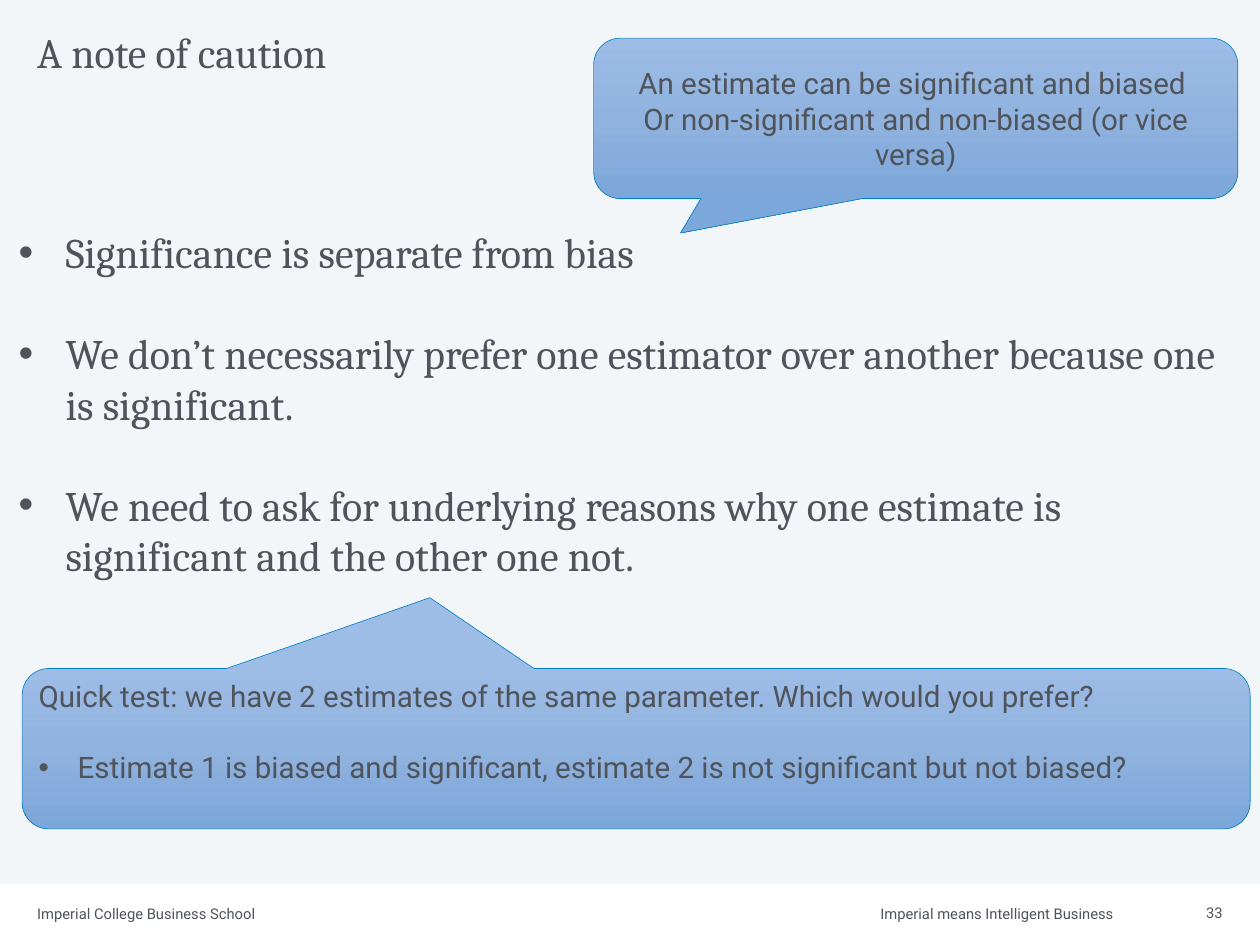
from copy import deepcopy
from dataclasses import dataclass

from pptx import Presentation
from pptx.dml.color import RGBColor as Rgb
from pptx.enum.shapes import MSO_SHAPE as Kind
from pptx.enum.text import MSO_ANCHOR as Anchor, PP_ALIGN as Align
from pptx.oxml.ns import qn
from pptx.oxml.xmlchemy import OxmlElement as Node
from pptx.util import Inches, Pt


@dataclass(frozen=True)
class Theme:
    """Colours, fonts and type sizes of the slide."""
    ink: str = "4F535A"
    panel: str = "F3F6F8"
    edge: str = "0080C6"
    fade: tuple = ("9DBDE7", "90B2DE", "7CA7DA")
    serif: str = "Cambria"
    sans: str = "Roboto"
    title: float = 34
    body: float = 34.1
    note: float = 24
    foot: float = 12


LOOK = Theme()
CELL = Inches(0.1)
COLS, ROWS = 142.2, 106.6


def grid(*cells):
    """Turn columns and rows into lengths."""
    return [round(CELL * cell) for cell in cells]


def bullet(par, depth):
    """Give a paragraph a bullet with a hanging indent."""
    props = par._p.get_or_add_pPr()
    gap = round(CELL * depth)
    props.set("marL", str(gap))
    props.set("indent", str(-gap))
    font, mark = Node("a:buFont"), Node("a:buChar")
    font.set("typeface", "Arial")
    mark.set("char", "•")
    props.extend([font, mark])


def write(frame, lines, face, size, align=Align.LEFT, gap=0, depth=0, first=0):
    """Fill a frame with lines, bulleted from the given line if depth is set."""
    frame.word_wrap = True
    for i, line in enumerate(lines):
        par = frame.add_paragraph() if i else frame.paragraphs[0]
        if depth and i >= first:
            bullet(par, depth)
        par.text = line
        par.alignment = align
        if i and gap:
            par.space_before = Pt(gap)
        font = par.font
        font.name, font.size = face, Pt(size)
        font.color.rgb = Rgb.from_string(LOOK.ink)


def label(slide, box, lines, face, size, anchor=Anchor.TOP, **style):
    """Add a text box without margins."""
    frame = slide.shapes.add_textbox(*grid(*box)).text_frame
    frame.margin_left = frame.margin_right = 0
    frame.margin_top = frame.margin_bottom = 0
    frame.vertical_anchor = anchor
    write(frame, lines, face, size, **style)
    return frame


def blend(shape):
    """Fill a shape with the downward three-colour fade."""
    fill = shape.fill
    fill.gradient()
    fill.gradient_angle = 270
    start = shape._element.spPr.find(qn("a:gradFill")).gsLst[0]
    mid = deepcopy(start)
    mid.set("pos", "50000")
    start.addnext(mid)
    for stop, tone in zip(fill.gradient_stops, LOOK.fade):
        stop.color.rgb = Rgb.from_string(tone)


def callout(slide, box, tip, lines, anchor=Anchor.MIDDLE, **style):
    """Add a rounded callout whose tip is given as shares of its size."""
    shape = slide.shapes.add_shape(Kind.ROUNDED_RECTANGULAR_CALLOUT, *grid(*box))
    shape.shadow.inherit = False
    shape.adjustments[0], shape.adjustments[1] = tip
    blend(shape)
    shape.line.color.rgb = Rgb.from_string(LOOK.edge)
    shape.line.width = Pt(0.5)
    frame = shape.text_frame
    frame.vertical_anchor = anchor
    write(frame, lines, LOOK.sans, LOOK.note, **style)
    return frame


def panel(slide, box):
    """Add the plain pale panel behind the content."""
    shape = slide.shapes.add_shape(Kind.RECTANGLE, *grid(*box))
    shape.shadow.inherit = False
    shape.fill.solid()
    shape.fill.fore_color.rgb = Rgb.from_string(LOOK.panel)
    shape.line.fill.background()


def footer(slide):
    """Add the school, the motto and the page number."""
    for left, top, wide, high, text, align in (
        (87.4, 102.1, 38.3, 2, "Imperial means Intelligent Business", Align.RIGHT),
        (4.2, 102.1, 38.3, 2, "Imperial College Business School", Align.LEFT),
        (129.3, 101.5, 8.7, 3, "33", Align.RIGHT),
    ):
        label(slide, (left, top, wide, high), [text], LOOK.sans, LOOK.foot,
              Anchor.MIDDLE, align=align)


def main():
    """Build the slide and save it."""
    deck = Presentation()
    deck.slide_width, deck.slide_height = grid(COLS, ROWS)
    slide = deck.slides.add_slide(deck.slide_layouts[6])
    panel(slide, (0, 0, COLS, 99.7))
    footer(slide)
    title = label(slide, (4.2, 3.4, 133.9, 9.6), ["A note of caution"],
                  LOOK.serif, LOOK.title)
    title.paragraphs[0].line_spacing = Pt(38)
    label(slide, (2.1, 25.6, 137.6, 68.9), [
        "Significance is separate from bias",
        "We don’t necessarily prefer one estimator over another because one is significant.",
        "We need to ask for underlying reasons why one estimate is significant and the other one not.",
    ], LOOK.serif, LOOK.body, gap=41, depth=5.3)
    callout(slide, (67, 4.3, 72.7, 18.1), (-0.365, 0.715), [
        "An estimate can be significant and biased ",
        "Or non-significant and non-biased (or vice versa)",
    ], align=Align.CENTER)
    quiz = callout(slide, (2.5, 75.4, 138.6, 18.1), (-0.168, -0.941), [
        "Quick test: we have 2 estimates of the same parameter. Which would you prefer?",
        "Estimate 1 is biased and significant, estimate 2 is not significant but not biased?",
    ], Anchor.TOP, gap=29, depth=4.4, first=1)
    quiz.margin_top = Inches(0.02)
    deck.save("out.pptx")


if __name__ == "__main__":
    main()
